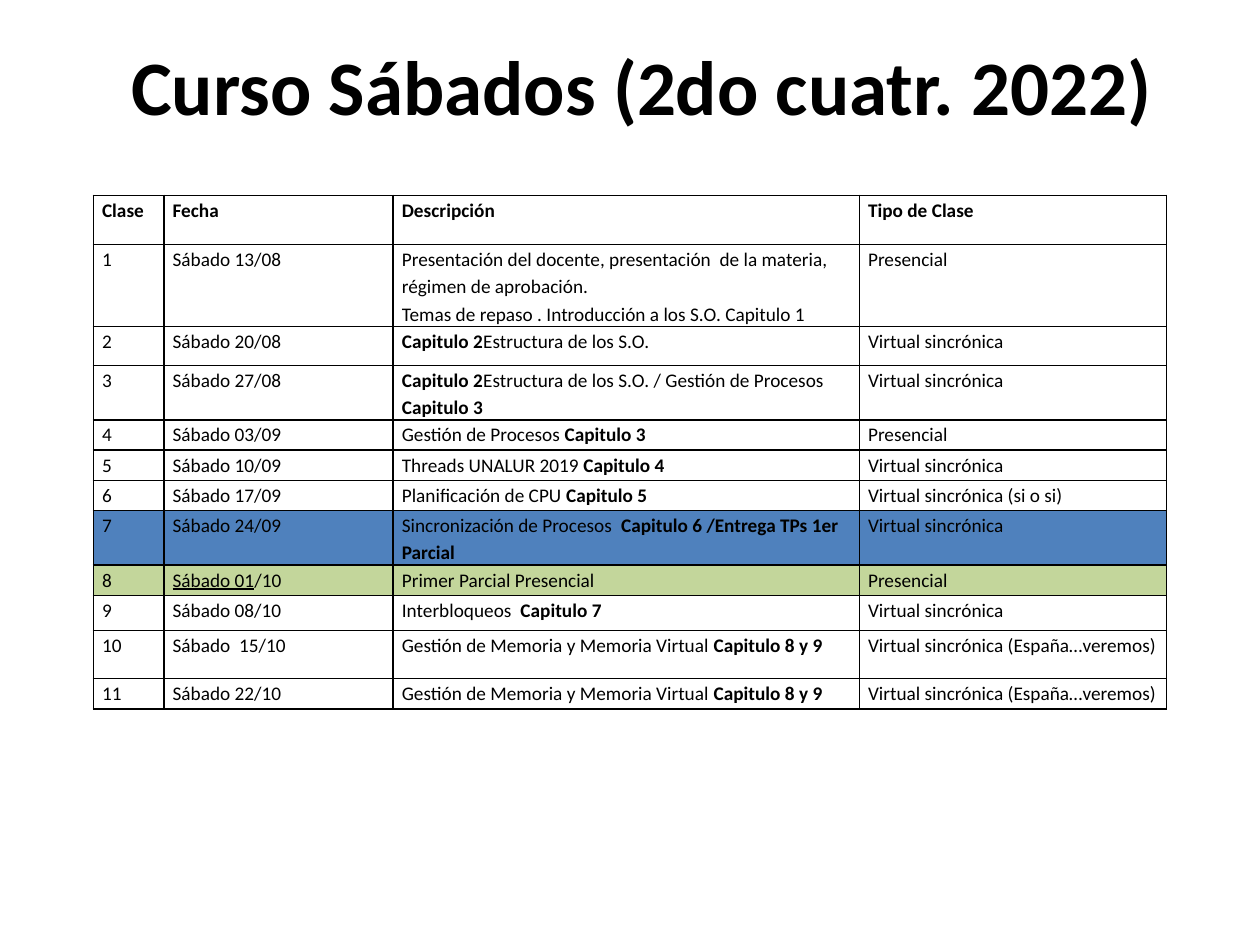
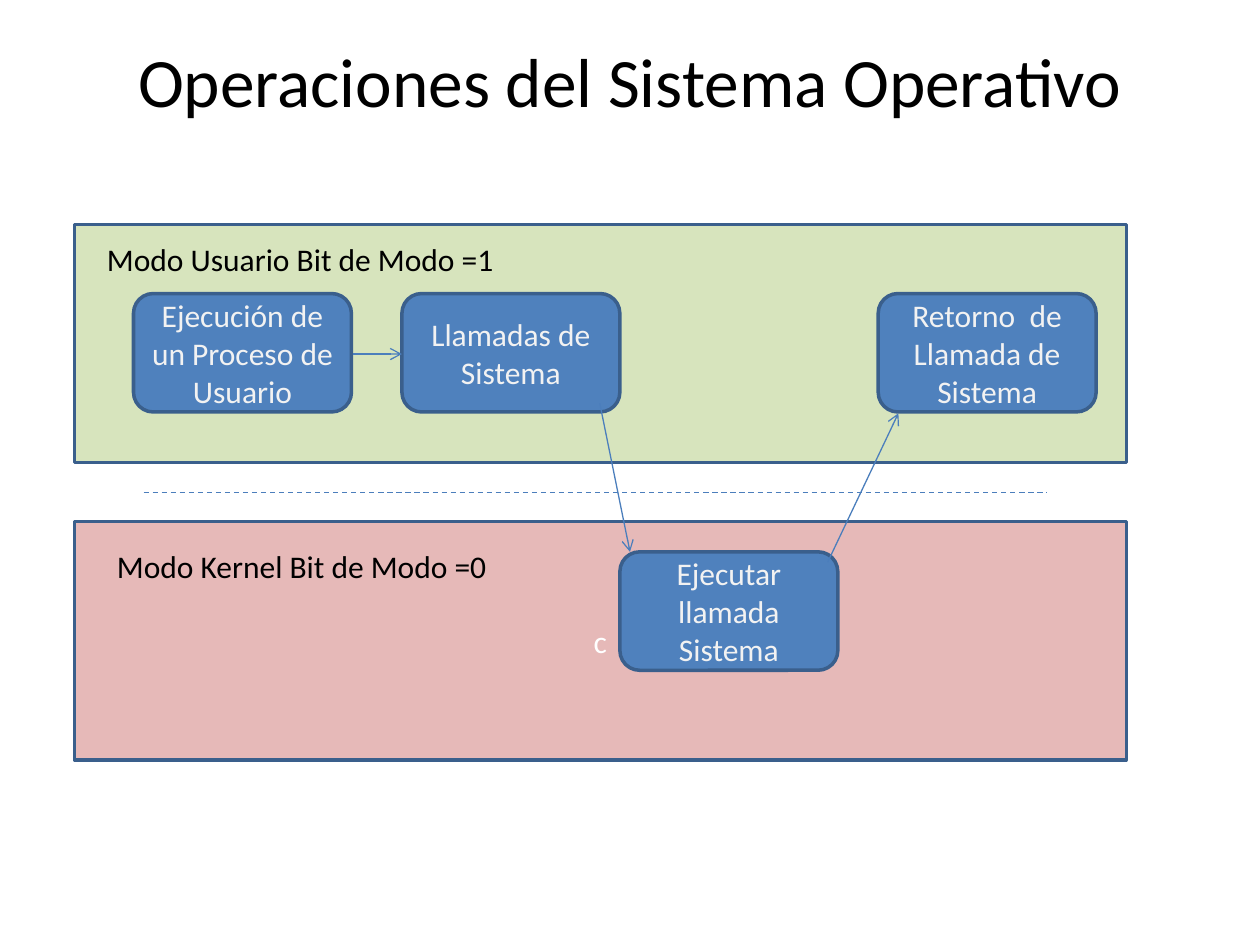
from lxml import etree
from pptx import Presentation
from pptx.dml.color import RGBColor
from pptx.enum.dml import MSO_LINE
from pptx.enum.shapes import MSO_CONNECTOR, MSO_SHAPE
from pptx.enum.text import MSO_ANCHOR, PP_ALIGN
from pptx.oxml.ns import qn
from pptx.util import Inches, Pt

LEFT, CENTER = PP_ALIGN.LEFT, PP_ALIGN.CENTER
TOP, MIDDLE = MSO_ANCHOR.TOP, MSO_ANCHOR.MIDDLE
RECTANGLE, ROUNDED = MSO_SHAPE.RECTANGLE, MSO_SHAPE.ROUNDED_RECTANGLE
STRAIGHT, DASH = MSO_CONNECTOR.STRAIGHT, MSO_LINE.DASH

FONT = "Calibri"
COLORS = {
    "text": "000000",
    "white": "FFFFFF",
    "step_text": "F2F2F2",
    "blue": "4F81BD",
    "outline": "3A5F8C",
    "arrow": "4B7EBC",
    "exam": "C3D69B",
    "user": "D7E4BD",
    "kernel": "E6B9B8",
}


def color(name):
    return RGBColor.from_string(COLORS[name])


def write_text(frame, text, size=18, ink="text", bold=False, align=LEFT,
               spacing=None, accent="bold"):
    """Fill a frame; line breaks split paragraphs, asterisks mark accents."""
    for index, line in enumerate(text.split("\n")):
        para = frame.paragraphs[0] if index == 0 else frame.add_paragraph()
        para.alignment = align
        if spacing:
            para.line_spacing = spacing
        for part, words in enumerate(line.split("*")):
            if not words:
                continue
            span = para.add_run()
            span.text = words
            span.font.name = FONT
            span.font.size = Pt(size)
            span.font.bold = bold
            span.font.color.rgb = color(ink)
            if part % 2:
                setattr(span.font, accent, True)


class Deck:
    def __init__(self):
        self.deck = Presentation()
        self.deck.slide_width = Inches(10)
        self.deck.slide_height = Inches(7.5)
        self.page = None

    def add_page(self):
        self.page = self.deck.slides.add_slide(self.deck.slide_layouts[6])

    def text_box(self, text, left, top, width, height, anchor=TOP, wrap=True,
                 **style):
        box = self.page.shapes.add_textbox(
            Inches(left), Inches(top), Inches(width), Inches(height))
        box.text_frame.word_wrap = wrap
        box.text_frame.vertical_anchor = anchor
        write_text(box.text_frame, text, **style)
        return box

    def title(self, text, left, top, width, size, anchor, bold=False):
        box = self.text_box(text, left, top, width, 1.25, anchor=anchor,
                            size=size, bold=bold, align=CENTER)
        box.text_frame.margin_top = box.text_frame.margin_bottom = 0

    def shape(self, kind, left, top, width, height, fill, text="", ink="white"):
        box = self.page.shapes.add_shape(
            kind, Inches(left), Inches(top), Inches(width), Inches(height))
        box.shadow.inherit = False
        box.fill.solid()
        box.fill.fore_color.rgb = color(fill)
        box.line.color.rgb = color("outline")
        box.line.width = Pt(2)
        box.text_frame.word_wrap = True
        box.text_frame.vertical_anchor = MIDDLE
        write_text(box.text_frame, text, ink=ink, align=CENTER)

    def line(self, x1, y1, x2, y2, dashed=False):
        """Draw a dashed divider, or a solid line with an arrowhead."""
        connector = self.page.shapes.add_connector(
            STRAIGHT, Inches(x1), Inches(y1), Inches(x2), Inches(y2))
        connector.line.color.rgb = color("arrow")
        connector.line.width = Pt(0.75)
        properties = connector.line._get_or_add_ln()
        if dashed:
            connector.line.dash_style = DASH
        else:
            etree.SubElement(properties, qn("a:tailEnd"), type="arrow")
        etree.SubElement(properties.getparent(), qn("a:effectLst"))

    def table(self, rows, left, top, widths, heights, fills):
        table = self.page.shapes.add_table(
            len(rows), len(widths), Inches(left), Inches(top),
            Inches(sum(widths)), Inches(sum(heights))).table
        table.first_row = table.horz_banding = False
        for column, width in zip(table.columns, widths):
            column.width = Inches(width)
        for r, values in enumerate(rows):
            table.rows[r].height = Inches(heights[r])
            for c, text in enumerate(values):
                self.cell(table.cell(r, c), text, fills.get(r, "white"),
                          bold=r == 0, accent="underline" if c == 1 else "bold")

    def cell(self, cell, text, fill, **style):
        cell.margin_left = cell.margin_right = Inches(0.07)
        cell.margin_top = cell.margin_bottom = 0
        properties = cell._tc.get_or_add_tcPr()
        for side in ("lnL", "lnR", "lnT", "lnB"):
            border = etree.SubElement(properties, qn("a:" + side),
                                      w=str(Pt(1)))
            solid = etree.SubElement(border, qn("a:solidFill"))
            etree.SubElement(solid, qn("a:srgbClr"), val=COLORS["text"])
        cell.fill.solid()
        cell.fill.fore_color.rgb = color(fill)
        write_text(cell.text_frame, text, size=11, spacing=1.15, **style)


SCHEDULE = [
    ("Clase", "Fecha", "Descripción", "Tipo de Clase"),
    ("1", "Sábado 13/08",
     "Presentación del docente, presentación  de la materia, régimen de "
     "aprobación.\nTemas de repaso . Introducción a los S.O. Capitulo 1",
     "Presencial"),
    ("2", "Sábado 20/08", "*Capitulo 2*Estructura de los S.O.",
     "Virtual sincrónica"),
    ("3", "Sábado 27/08",
     "*Capitulo 2*Estructura de los S.O. / Gestión de Procesos *Capitulo 3*",
     "Virtual sincrónica"),
    ("4", "Sábado 03/09", "Gestión de Procesos *Capitulo 3*", "Presencial"),
    ("5", "Sábado 10/09", "Threads UNALUR 2019 *Capitulo 4*",
     "Virtual sincrónica"),
    ("6", "Sábado 17/09", "Planificación de CPU *Capitulo 5*",
     "Virtual sincrónica (si o si)"),
    ("7", "Sábado 24/09",
     "Sincronización de Procesos  *Capitulo 6 /Entrega TPs 1er Parcial*",
     "Virtual sincrónica"),
    ("8", "*Sábado 01*/10", "Primer Parcial Presencial", "Presencial"),
    ("9", "Sábado 08/10", "Interbloqueos  *Capitulo 7*", "Virtual sincrónica"),
    ("10", "Sábado  15/10",
     "Gestión de Memoria y Memoria Virtual *Capitulo 8 y 9*",
     "Virtual sincrónica (España…veremos)"),
    ("11", "Sábado 22/10",
     "Gestión de Memoria y Memoria Virtual *Capitulo 8 y 9*",
     "Virtual sincrónica (España…veremos)"),
]
ROW_HEIGHTS = [0.39, 0.32, 0.31, 0.31, 0.24, 0.24, 0.24, 0.17, 0.24, 0.28,
               0.38, 0.24]


def schedule_page(deck):
    deck.add_page()
    deck.table(SCHEDULE, 0.74, 1.55, [0.56, 1.82, 3.7, 2.44], ROW_HEIGHTS,
               fills={7: "blue", 8: "exam"})
    deck.title("Curso Sábados (2do cuatr. 2022)", 0.35, 0.05, 9.5, 44,
               MIDDLE, bold=True)


def operations_page(deck):
    deck.add_page()
    # Mode bands
    for top, fill, text in ((4.14, "kernel", "c"), (1.78, "user", "")):
        deck.shape(RECTANGLE, 0.59, top, 8.35, 1.89, fill, text)
    deck.title("Operaciones del Sistema Operativo", 0.5, 0.3, 9, 39.6, TOP)
    deck.line(1.14, 3.91, 8.31, 3.91, dashed=True)
    # Steps of a system call
    for left, top, text in (
            (1.06, 2.33, "Ejecución de un Proceso de Usuario"),
            (3.19, 2.33, "Llamadas de Sistema"),
            (4.92, 4.38, "Ejecutar llamada Sistema"),
            (6.97, 2.33, "Retorno  de Llamada de Sistema")):
        deck.shape(ROUNDED, left, top, 1.73, 0.94, "blue", text, "step_text")
    # Arrows between the steps
    for ends in ((2.8, 2.81, 3.19, 2.81), (4.76, 3.2, 5, 4.38),
                 (6.57, 4.46, 7.13, 3.28)):
        deck.line(*ends)
    # Band labels
    deck.text_box("Modo Usuario Bit de Modo =1", 0.75, 1.86, 3.31, 0.4,
                  wrap=False)
    deck.text_box("Modo Kernel Bit de Modo =0", 0.83, 4.29, 3.17, 0.4,
                  wrap=False)


def main():
    deck = Deck()
    schedule_page(deck)
    operations_page(deck)
    deck.deck.save("out.pptx")


if __name__ == "__main__":
    main()
